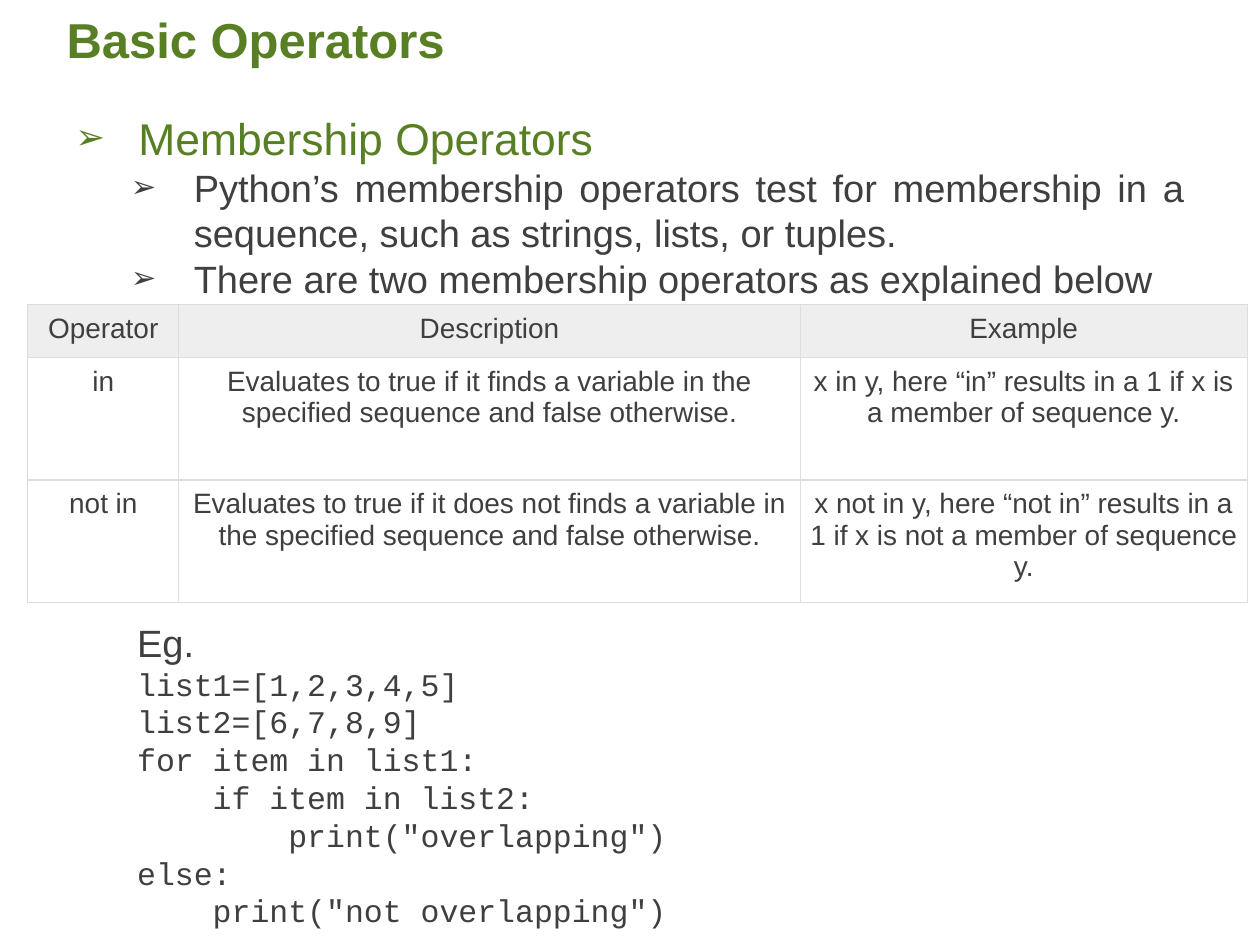
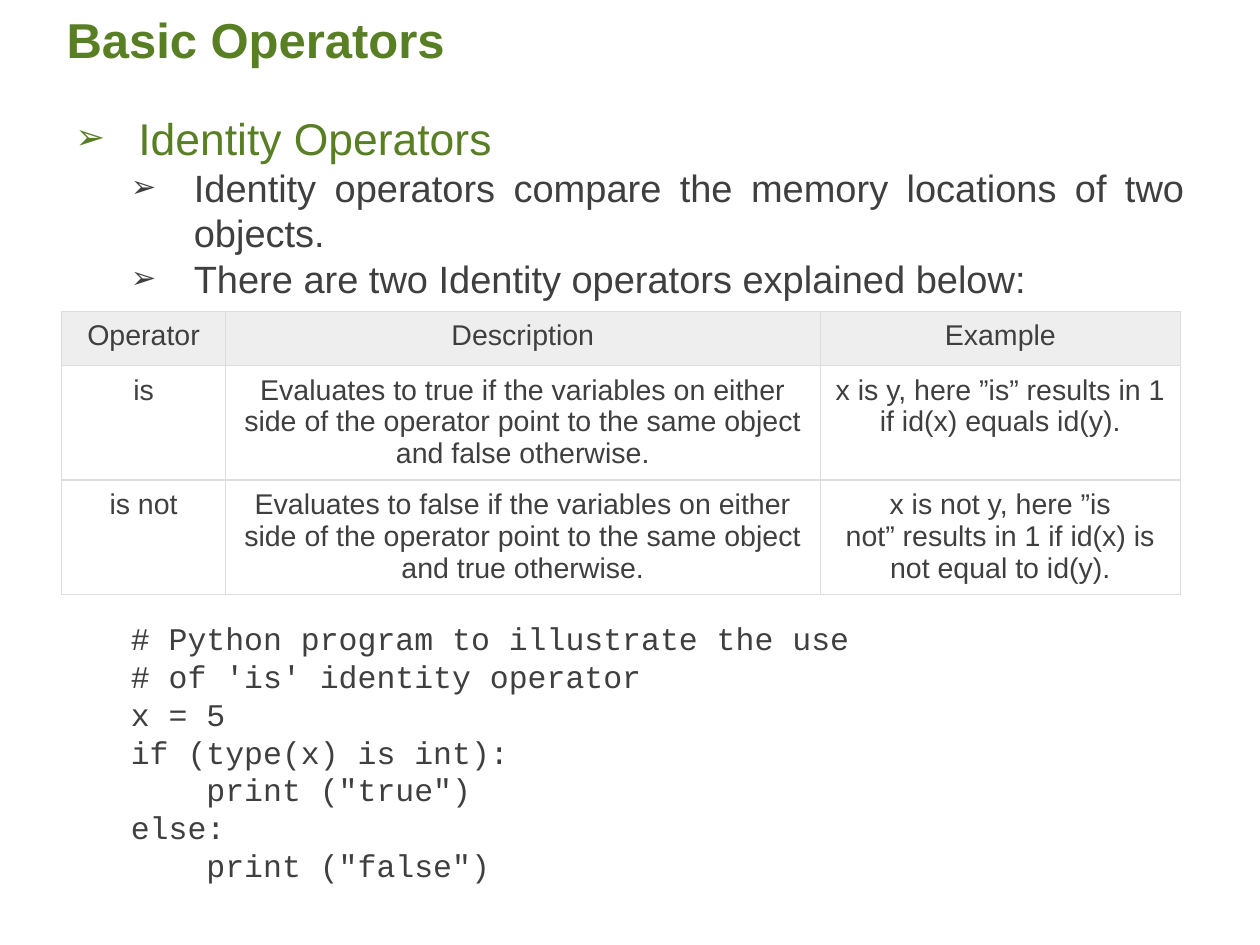
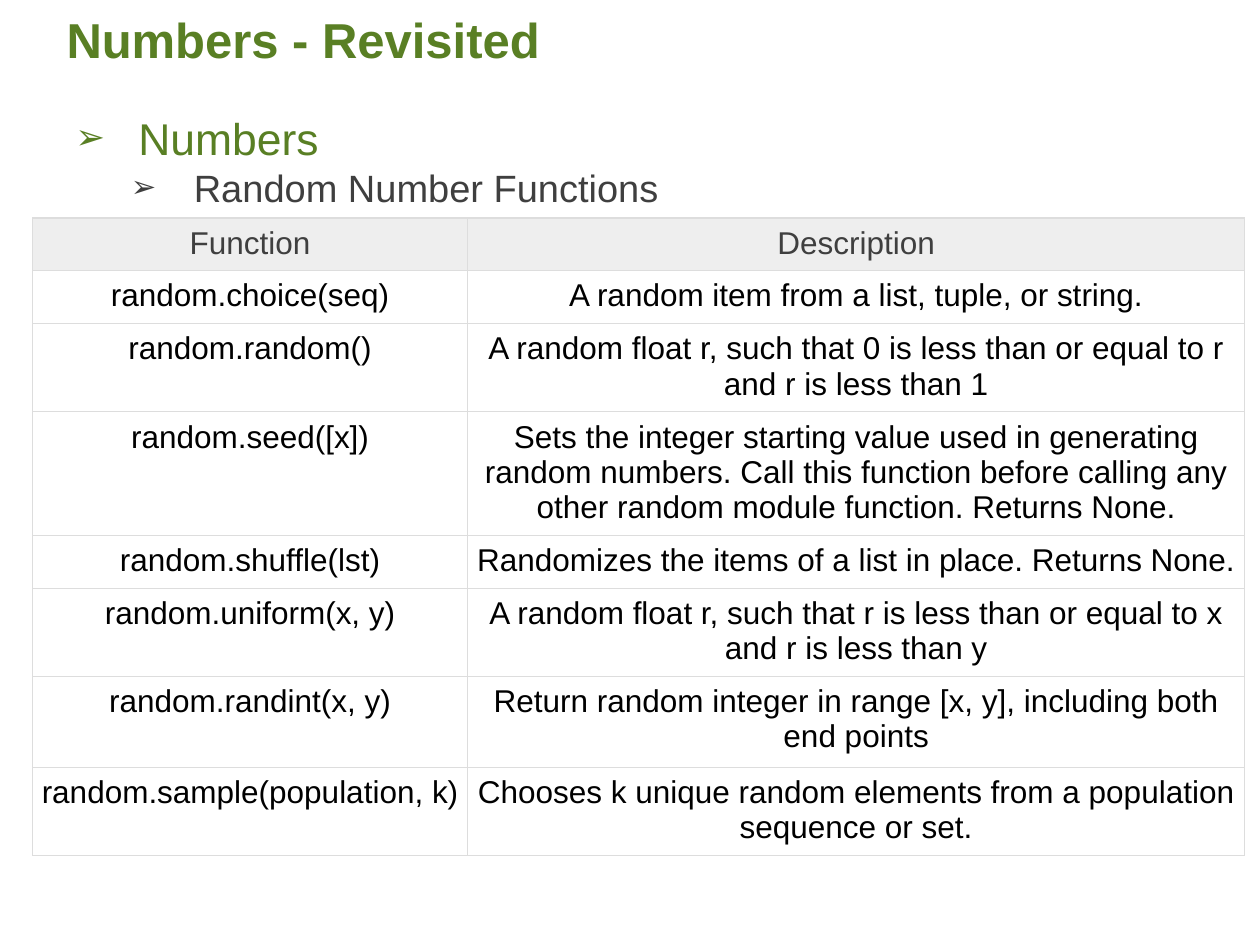
from dataclasses import dataclass

from lxml.etree import SubElement
from pptx import Presentation
from pptx.dml.color import RGBColor
from pptx.enum.shapes import MSO_SHAPE as Preset
from pptx.enum.text import MSO_ANCHOR as Anchor, PP_ALIGN as Align
from pptx.oxml.ns import qn
from pptx.util import Inches, Pt

HARD_SPACE = chr(160)


@dataclass(frozen=True)
class Theme:
    green: str = "597F24"
    gray: str = "3F3F3F"
    black: str = "000000"
    white: str = "FFFFFF"
    header: str = "EEEEEE"
    border: str = "DDDDDD"
    sans: str = "Arial"
    mono: str = "Courier New"
    title_size: float = 28
    topic_size: float = 25.4
    body_size: float = 21.7
    code_size: float = 18
    body_line: float = 26
    code_line: float = 21.6
    table_gap: float = 182
    code_step: float = 0.6


class Deck:
    def __init__(self, theme):
        self.theme = theme
        self.presentation = Presentation()
        self.presentation.slide_width = Inches(10)
        self.presentation.slide_height = Inches(7.5)
        self.slide = None
        self.body = None

    def style(self, paragraph, size, color, name=None, bold=False):
        font = paragraph.font
        font.size = Pt(size)
        font.name = name or self.theme.sans
        font.bold = bold
        font.color.rgb = RGBColor.from_string(color)

    def backdrop(self):
        shape = self.slide.shapes.add_shape(
            Preset.RECTANGLE, 0, 0, Inches(10.01), Inches(7.51))
        shape.shadow.inherit = False
        shape.line.fill.background()
        shape.fill.solid()
        shape.fill.fore_color.rgb = RGBColor.from_string(self.theme.white)
        color = shape._element.spPr.find(f"{qn('a:solidFill')}/{qn('a:srgbClr')}")
        SubElement(color, qn("a:alpha"), val="93000")

    def text_frame(self, left, top, width, height, inset_top):
        box = self.slide.shapes.add_textbox(*map(Inches, (left, top, width, height)))
        frame = box.text_frame
        frame.word_wrap = True
        frame.margin_top = Inches(inset_top)
        return frame

    def start(self, title, topic):
        theme = self.theme
        self.slide = self.presentation.slides.add_slide(self.presentation.slide_layouts[6])
        self.backdrop()
        frame = self.text_frame(0.43, 0.11, 9, 0.5, 0.04)
        frame.margin_bottom = Inches(0.06)
        frame.vertical_anchor = Anchor.BOTTOM
        paragraph = frame.paragraphs[0]
        paragraph.text = title
        paragraph.line_spacing = 0.9
        self.style(paragraph, theme.title_size, theme.green, bold=True)
        self.body = self.text_frame(0.5, 0.82, 9, 6.57, 0.06)
        paragraph = self.body.paragraphs[0]
        paragraph.text = topic
        self.style(paragraph, theme.topic_size, theme.green)
        self.indent(paragraph, 0.5, bullet=True)

    def indent(self, paragraph, left, bullet=False):
        properties = paragraph._p.get_or_add_pPr()
        properties.set("marL", str(Inches(left)))
        properties.set("indent", str(Inches(-0.5 if bullet else 0)))
        if bullet:
            paragraph.alignment = Align.JUSTIFY
            marks = [
                SubElement(properties, qn("a:buSzPct"), val="80000"),
                SubElement(properties, qn("a:buFont"), typeface=self.theme.sans),
                SubElement(properties, qn("a:buChar"), char="➢"),
            ]
            default_font = properties.find(qn("a:defRPr"))
            for mark in marks:
                default_font.addprevious(mark)

    def body_line(self, text, left, bullet=False):
        paragraph = self.body.add_paragraph()
        paragraph.text = text
        paragraph.level = 1
        paragraph.line_spacing = Pt(self.theme.body_line)
        self.style(paragraph, self.theme.body_size, self.theme.gray)
        self.indent(paragraph, left, bullet)
        return paragraph

    def points(self, *texts):
        for text in texts:
            self.body_line(text, 0.94, bullet=True)

    def code(self, left, lines, label=None):
        theme = self.theme
        paragraphs = [self.body_line(label, left)] if label else []
        for depth, text in lines:
            paragraph = self.body_line(text, left + depth * theme.code_step)
            paragraph.line_spacing = Pt(theme.code_line)
            self.style(paragraph, theme.code_size, theme.gray, theme.mono)
            paragraphs.append(paragraph)
        paragraphs[0].space_before = Pt(theme.table_gap)

    def table(self, left, top, widths, heights, rows, size, color, inset=0.08):
        theme = self.theme
        table = self.slide.shapes.add_table(
            len(rows), len(widths), Inches(left), Inches(top),
            Inches(sum(widths)), Inches(sum(heights))).table
        table.first_row = table.horz_banding = False
        for column, width in zip(table.columns, widths):
            column.width = Inches(width)
        for index, (row, height, texts) in enumerate(zip(table.rows, heights, rows)):
            row.height = Inches(height)
            for cell, text in zip(row.cells, texts):
                self.cell(cell, text, size, inset,
                          theme.gray if index == 0 else color,
                          theme.header if index == 0 else theme.white)

    def cell(self, cell, text, size, inset, color, fill):
        cell.margin_left = cell.margin_right = Inches(inset)
        cell.margin_top = Inches(inset - 0.01)
        cell.margin_bottom = 0
        paragraph = cell.text_frame.paragraphs[0]
        paragraph.text = text
        paragraph.alignment = Align.CENTER
        self.style(paragraph, size, color)
        properties = cell._tc.get_or_add_tcPr()
        for side in ("lnL", "lnR", "lnT", "lnB"):
            line = SubElement(properties, qn(f"a:{side}"), w=str(Pt(0.75)))
            paint = SubElement(line, qn("a:solidFill"))
            SubElement(paint, qn("a:srgbClr"), val=self.theme.border)
        cell.fill.solid()
        cell.fill.fore_color.rgb = RGBColor.from_string(fill)


def membership_slide(deck):
    deck.start("Basic Operators", "Membership Operators")
    deck.points(
        "Python’s membership operators test for membership in a sequence, "
        "such as strings, lists, or tuples.",
        "There are two membership operators as explained below")
    deck.code(0.49, [
        (0, "list1=[1,2,3,4,5]"),
        (0, "list2=[6,7,8,9]"),
        (0, "for item in list1:"),
        (1, "if item in list2:"),
        (2, 'print("overlapping")'),
        (0, "else:"),
        (1, 'print("not overlapping")'),
    ], label="Eg.")
    deck.table(0.22, 2.42, [1.2, 4.93, 3.55], [0.42, 0.97, 0.97], [
        ("Operator", "Description", "Example"),
        ("in",
         "Evaluates to true if it finds a variable in the specified sequence "
         "and false otherwise.",
         "x in y, here “in” results in a 1 if x is a member of sequence y."),
        ("not in",
         "Evaluates to true if it does not finds a variable in the specified "
         "sequence and false otherwise.",
         "x not in y, here “not in” results in a 1 if x is not a member of sequence y."),
    ], 16, deck.theme.gray)


def identity_slide(deck):
    deck.start("Basic Operators", "Identity Operators")
    deck.points(
        "Identity operators compare the memory locations of two objects.",
        "There are two Identity operators explained below:")
    deck.code(0.44, [
        (0, "# Python program to illustrate the use"),
        (0, "# of 'is' identity operator"),
        (0, "x = 5"),
        (0, "if (type(x) is int):"),
        (1, 'print ("true")'),
        (0, "else:"),
        (1, 'print ("false")'),
    ])
    deck.table(0.49, 2.47, [1.3, 4.72, 2.86], [0.43, 0.91, 0.91], [
        ("Operator", "Description", "Example"),
        ("is",
         "Evaluates to true if the variables on either side of the operator "
         "point to the same object and false otherwise.",
         f"x is y, here{HARD_SPACE}”is”{HARD_SPACE}results in 1 if id(x) equals id(y)."),
        ("is not",
         "Evaluates to false if the variables on either side of the operator "
         "point to the same object and true otherwise.",
         f"x is not y, here{HARD_SPACE}”is not”{HARD_SPACE}results in 1 if id(x) is "
         "not equal to id(y)."),
    ], 16.3, deck.theme.gray)


def numbers_slide(deck):
    deck.start("Numbers - Revisited", "Numbers")
    deck.points("Random Number Functions")
    heights = [0.42, 0.42, 0.7, 0.98, 0.42, 0.7, 0.72, 0.7]
    deck.table(0.26, 1.73, [3.45, 6.17], heights, [
        ("Function", "Description"),
        ("random.choice(seq)", "A random item from a list, tuple, or string."),
        ("random.random()",
         "A random float r, such that 0 is less than or equal to r and r is less than 1"),
        ("random.seed([x])",
         "Sets the integer starting value used in generating random numbers. Call this "
         "function before calling any other random module function. Returns None."),
        ("random.shuffle(lst)", "Randomizes the items of a list in place. Returns None."),
        ("random.uniform(x, y)",
         "A random float r, such that r is less than or equal to x and r is less than y"),
        ("random.randint(x, y)",
         "Return random integer in range [x, y], including both end points"),
        ("random.sample(population, k)",
         "Chooses k unique random elements from a population sequence or set."),
    ], 18, deck.theme.black, inset=0.07)


def main():
    deck = Deck(Theme())
    for build in (membership_slide, identity_slide, numbers_slide):
        build(deck)
    deck.presentation.save("out.pptx")


if __name__ == "__main__":
    main()
